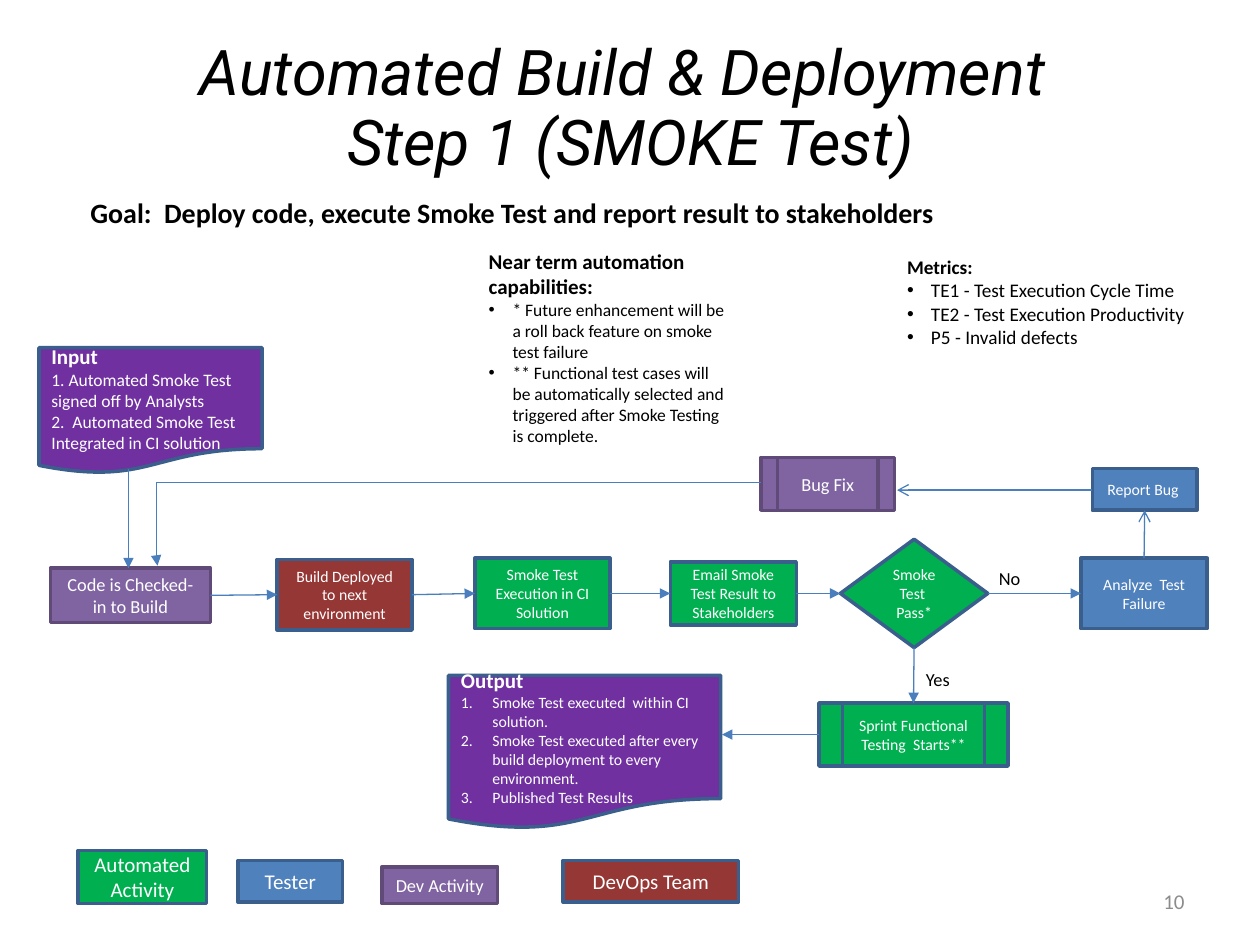
from lxml import etree
from pptx import Presentation
from pptx.dml.color import RGBColor
from pptx.enum.shapes import MSO_CONNECTOR, MSO_SHAPE
from pptx.enum.text import MSO_ANCHOR, MSO_AUTO_SIZE, PP_ALIGN
from pptx.oxml.ns import qn
from pptx.util import Inches, Pt

PROCESS = MSO_SHAPE.FLOWCHART_PROCESS
PREDEFINED = MSO_SHAPE.FLOWCHART_PREDEFINED_PROCESS
DECISION = MSO_SHAPE.FLOWCHART_DECISION
DOCUMENT = MSO_SHAPE.FLOWCHART_DOCUMENT
STRAIGHT, ELBOW = MSO_CONNECTOR.STRAIGHT, MSO_CONNECTOR.ELBOW
LEFT, CENTER, RIGHT = PP_ALIGN.LEFT, PP_ALIGN.CENTER, PP_ALIGN.RIGHT
TOP, MIDDLE = MSO_ANCHOR.TOP, MSO_ANCHOR.MIDDLE

# The slide is a grid of 100 columns by 75 rows.
COLUMNS, ROWS = 100, 75
CELL = Inches(0.1)
TOP_SITE, LEFT_SITE, BOTTOM_SITE, RIGHT_SITE = range(4)

WHITE, BLACK, GREY = "FFFFFF", "000000", "8C8C8C"
AUTOMATED, TESTER, DEVELOPER, DEVOPS = "00B050", "4F81BD", "8064A2", "953735"
DOCUMENT_FILL, EDGE, DEVELOPER_EDGE, ARROW = "7030A0", "3A5F8C", "5F4A78", "4B7EBC"

# name: (preset, role colour, text, size, (column, row, width, height))
STEPS = {
    "check in": (PROCESS, DEVELOPER, "Code is Checked-in to Build", 10.5, (4, 45.1, 12.7, 4.3)),
    "deploy": (PROCESS, DEVOPS, "Build Deployed to next environment", 9, (22, 44.4, 10.7, 5.6)),
    "execute": (PROCESS, AUTOMATED, "Smoke Test Execution in CI Solution", 9, (37.7, 44.3, 10.7, 5.6)),
    "email": (PROCESS, AUTOMATED, "Email Smoke Test Result to Stakeholders", 9, (53.2, 44.6, 10, 5)),
    "decide": (DECISION, AUTOMATED, "Smoke Test  Pass*", 9, (66.7, 42.8, 11.7, 8.6)),
    "analyze": (PROCESS, TESTER, "Analyze  Test Failure", 9, (85.8, 44.3, 10, 5.6)),
    "report": (PROCESS, TESTER, "Report Bug ", 9, (86.7, 37.2, 8.3, 3.3)),
    "fix": (PREDEFINED, DEVELOPER, "Bug Fix", 10.5, (60.4, 36.3, 10.6, 4.2)),
    "sprint": (PREDEFINED, AUTOMATED, "Sprint Functional Testing  Starts**", 9, (65, 55.8, 15, 5)),
    "automated key": (PROCESS, AUTOMATED, "Automated Activity", 12, (6.2, 67.5, 10.2, 4.2)),
    "tester key": (PROCESS, TESTER, "Tester", 12, (18.9, 68.3, 8.3, 3.3)),
    "developer key": (PROCESS, DEVELOPER, "Dev Activity", 10.5, (30.3, 68.8, 9.2, 2.9)),
    "devops key": (PROCESS, DEVOPS, "DevOps Team", 12, (44.7, 68.3, 13.9, 3.3)),
}

# (from step, site, to step, site, arrowhead)
LINKS = [
    ("check in", RIGHT_SITE, "deploy", LEFT_SITE, "triangle"),
    ("deploy", RIGHT_SITE, "execute", LEFT_SITE, "triangle"),
    ("execute", RIGHT_SITE, "email", LEFT_SITE, "triangle"),
    ("email", RIGHT_SITE, "decide", LEFT_SITE, "triangle"),
    ("decide", RIGHT_SITE, "analyze", LEFT_SITE, "triangle"),
    ("decide", BOTTOM_SITE, "sprint", TOP_SITE, "triangle"),
    ("analyze", TOP_SITE, "report", BOTTOM_SITE, "arrow"),
]

# Each paragraph: (text, size, bold, bullet)
INPUT = [
    ("Input", 12, True, None),
    ("1. Automated Smoke Test signed off by Analysts", 10, False, None),
    ("2.  Automated Smoke Test Integrated in CI solution", 10, False, None),
]
OUTPUT = [
    ("Output", 12, True, None),
    ("Smoke Test executed  within CI solution.", 9, False, "number"),
    ("Smoke Test executed after every build deployment to every environment.", 9, False, "number"),
    ("Published Test Results", 9, False, "number"),
]
CAPABILITIES = [
    ("Near term automation capabilities:", 12, True, None),
    ("* Future enhancement will be a roll back feature on smoke test failure", 10, False, "dot"),
    ("** Functional test cases will be automatically selected and triggered "
     "after Smoke Testing is complete.", 10, False, "dot"),
]
METRICS = [
    ("Metrics:", 11, True, None),
    ("TE1 - Test Execution Cycle Time", 11, False, "dot"),
    ("TE2 - Test Execution Productivity", 11, False, "dot"),
    ("P5 - Invalid defects", 11, False, "dot"),
]
GOAL = [("Goal:  Deploy code, execute Smoke Test and report result to stakeholders", 16, True, None)]


def color(hex_string):
    """Turn a hex string into a colour."""
    return RGBColor.from_string(hex_string)


def grid(*cells):
    """Turn grid cells into slide lengths."""
    return [round(cell * CELL) for cell in cells]


def add_run(paragraph, text, size, hex_string, bold=False, italic=False, font="Calibri"):
    """Add one formatted run."""
    run = paragraph.add_run()
    run.text = text
    run.font.name, run.font.size = font, Pt(size)
    run.font.bold, run.font.italic = bold, italic
    run.font.color.rgb = color(hex_string)


def add_bullet(paragraph, bullet):
    """Give a paragraph a hanging dot or number."""
    properties = paragraph._p.get_or_add_pPr()
    indent = Inches(0.25 if bullet == "number" else 0.19)
    properties.set("marL", str(indent))
    properties.set("indent", str(-indent))
    if bullet == "number":
        etree.SubElement(properties, qn("a:buFont"), typeface="+mj-lt")
        etree.SubElement(properties, qn("a:buAutoNum"), type="arabicPeriod")
    else:
        etree.SubElement(properties, qn("a:buFont"), typeface="Arial")
        etree.SubElement(properties, qn("a:buChar"), char="\u2022")


def write(frame, paragraphs, hex_string, align=LEFT):
    """Fill a text frame paragraph by paragraph."""
    for index, (text, size, bold, bullet) in enumerate(paragraphs):
        paragraph = frame.add_paragraph() if index else frame.paragraphs[0]
        paragraph.alignment = align
        if bullet:
            add_bullet(paragraph, bullet)
        add_run(paragraph, text, size, hex_string, bold)


def add_box(slide, preset, fill, paragraphs, place, align=CENTER):
    """Add a filled flowchart shape with its text."""
    shape = slide.shapes.add_shape(preset, *grid(*place))
    shape.shadow.inherit = False
    shape.fill.solid()
    shape.fill.fore_color.rgb = color(fill)
    shape.line.color.rgb = color(DEVELOPER_EDGE if fill == DEVELOPER else EDGE)
    shape.line.width = Pt(2)
    shape.text_frame.vertical_anchor = MIDDLE
    write(shape.text_frame, paragraphs, WHITE, align)
    return shape


def add_text(slide, paragraphs, place, hex_string=BLACK, align=LEFT, anchor=TOP, wrap=True):
    """Add a text box."""
    frame = slide.shapes.add_textbox(*grid(*place)).text_frame
    frame.word_wrap, frame.vertical_anchor = wrap, anchor
    write(frame, paragraphs, hex_string, align)


def add_arrow(slide, start=(0, 0), end=(0, 0), head="triangle", kind=STRAIGHT):
    """Add a connector with an arrowhead at its end."""
    connector = slide.shapes.add_connector(kind, *grid(*start, *end))
    connector.line.color.rgb = color(ARROW)
    connector.line.width = Pt(0.75)
    etree.SubElement(connector.line._get_or_add_ln(), qn("a:tailEnd"), type=head)
    etree.SubElement(connector._element.spPr, qn("a:effectLst"))
    return connector


def add_title(slide):
    """Place and format the title."""
    title = slide.shapes.title
    title.left, title.top, title.width, title.height = grid(1.7, 3.3, 96.7, 10.8)
    frame = title.text_frame
    frame.auto_size, frame.vertical_anchor = MSO_AUTO_SIZE.NONE, MIDDLE
    paragraph = frame.paragraphs[0]
    paragraph.alignment, paragraph.line_spacing = CENTER, 0.93
    add_run(paragraph, "Automated Build & Deployment ", 36, BLACK, italic=True, font="Roboto")
    paragraph.add_line_break()
    add_run(paragraph, "Step 1 (SMOKE Test)", 36, BLACK, italic=True, font="Roboto")


def add_flow(slide):
    """Draw the steps, the documents and the arrows between them."""
    steps = {
        name: add_box(slide, preset, fill, [(text, size, False, None)], place)
        for name, (preset, fill, text, size, place) in STEPS.items()
    }
    add_box(slide, DOCUMENT, DOCUMENT_FILL, INPUT, (3.1, 27.6, 17.7, 10), LEFT)
    add_box(slide, DOCUMENT, DOCUMENT_FILL, OUTPUT, (35.6, 53.6, 21.6, 12.2), LEFT)
    for source, source_site, target, target_site, head in LINKS:
        arrow = add_arrow(slide, head=head)
        arrow.begin_connect(steps[source], source_site)
        arrow.end_connect(steps[target], target_site)
    add_arrow(slide, (10.2, 37.2), (10.2, 45.1))
    add_arrow(slide, (65, 58.3), (57.3, 58.3))
    add_arrow(slide, (86.7, 38.9), (71.2, 38.9), "arrow")
    rework = add_arrow(slide, (60.4, 38.3), (12.5, 44.9), kind=ELBOW)
    adjustments = rework._element.spPr.find(qn("a:prstGeom")).get_or_add_avLst()
    etree.SubElement(adjustments, qn("a:gd"), name="adj1", fmla="val 100200")


def main():
    """Build and save the slide."""
    presentation = Presentation()
    presentation.slide_width, presentation.slide_height = grid(COLUMNS, ROWS)
    slide = presentation.slides.add_slide(presentation.slide_layouts[5])
    add_title(slide)
    add_flow(slide)
    add_text(slide, GOAL, (6.2, 15, 80.4, 3.7))
    add_text(slide, CAPABILITIES, (37.8, 19.2, 21.1, 16.8))
    add_text(slide, METRICS, (71, 19.8, 24.1, 10.3))
    add_text(slide, [("Yes", 10.5, False, None)], (72.5, 52.5, 4.2, 2.8), wrap=False)
    add_text(slide, [("No", 10.5, False, None)], (78.3, 44.5, 5, 2.9), wrap=False)
    add_text(slide, [("10", 12, False, None)], (71.7, 69.5, 23.3, 4), GREY, RIGHT, MIDDLE)
    presentation.save("out.pptx")


main()
